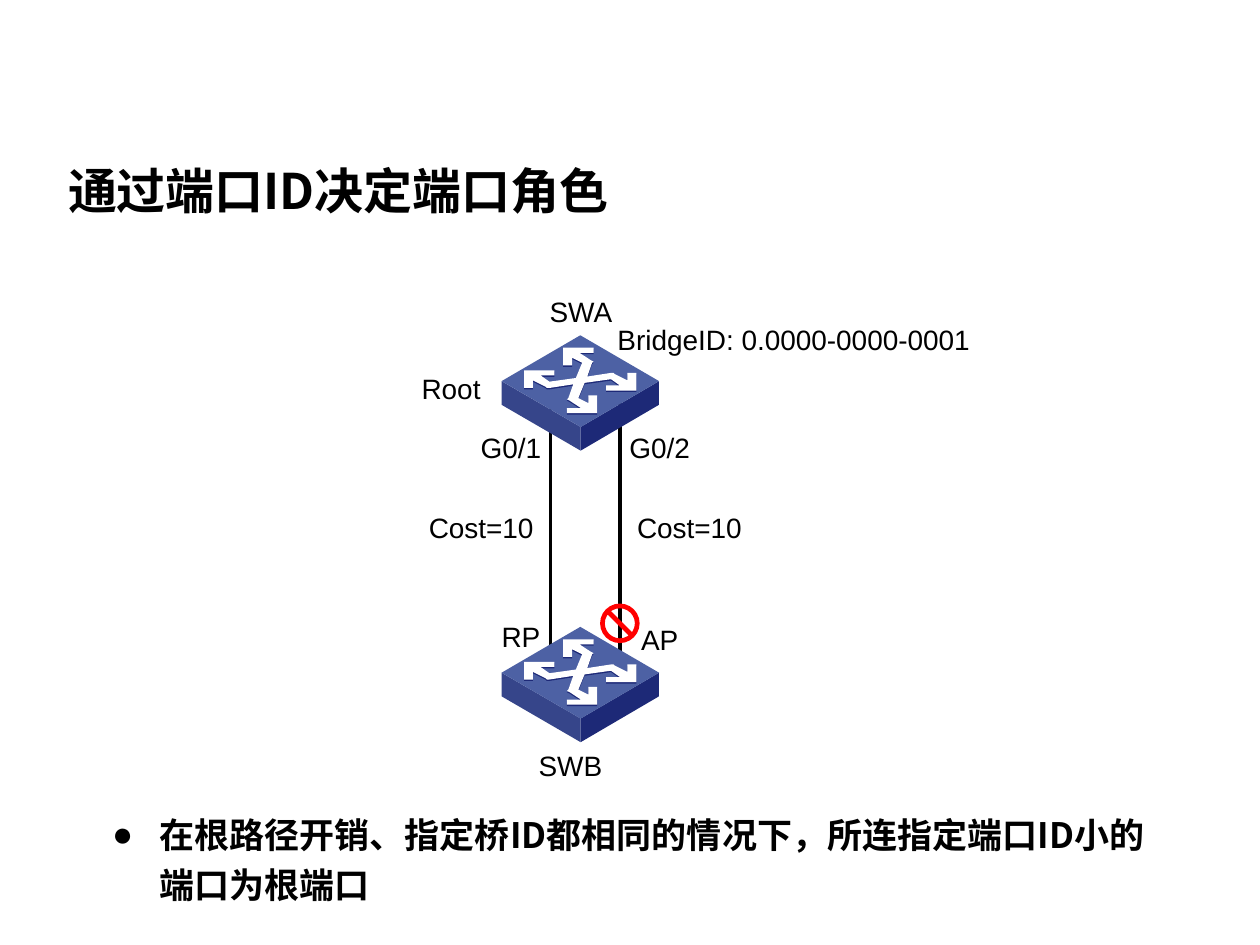
import lxml.etree
import pptx
import pptx.dml.color
import pptx.enum.shapes
import pptx.enum.text
import pptx.oxml.ns
import pptx.util

Pt = pptx.util.Pt
qn = pptx.oxml.ns.qn
Kind = pptx.enum.shapes.MSO_SHAPE
Link = pptx.enum.shapes.MSO_CONNECTOR
Align = pptx.enum.text.PP_ALIGN
Anchor = pptx.enum.text.MSO_ANCHOR
Fit = pptx.enum.text.MSO_AUTO_SIZE

COLORS = {
    "ink": "000000",
    "top": "4D61A4",
    "left": "36458A",
    "right": "1D2977",
    "arrow": "FFFFFF",
    "block": "FF0000",
}
FONTS = {
    "label": {"name": "Arial", "size": Pt(16), "bold": False},
    "title": {"name": "Noto Sans CJK JP", "size": Pt(28), "bold": True},
    "body": {"name": "Noto Sans CJK SC", "size": Pt(20), "bold": True},
}

WIDE, HIGH, DEEP = 45, 26.2, 13.5
HALF = [
    (32, -4.3), (27, -4.3), (27, 0), (19.8, -3.6), (19.1, -4.3),
    (17.6, -4.3), (4, -2.2), (6.8, -10.1), (7.6, -10.8), (6.1, -11.5),
    (-0.4, -15.8), (7.6, -15.8), (7.6, -18.7), (-9.7, -18.7),
    (-9.7, -8.6), (-4.7, -8.6), (-4.7, -13), (1.1, -10.1),
    (-2.5, -1.4), (-17.6, 0.7), (-22.7, -2.9), (-14.8, -2.9),
    (-14.8, -5.8), (-32, -5.8),
]
ARROWS = HALF + [(-x, -y) for x, y in HALF]


def color(name):
    return pptx.dml.color.RGBColor.from_string(COLORS[name])


def apply(item, values):
    for key, value in values.items():
        setattr(item, key, value)


class Slide:
    def __init__(self, deck):
        self.page = deck.slides.add_slide(deck.slide_layouts[1])
        self.shapes = self.page.shapes

    def fill_text(self, shape, text, style, frame, para):
        apply(shape.text_frame, {"word_wrap": True, **frame})
        first = shape.text_frame.paragraphs[0]
        apply(first, {"space_before": Pt(0), **para})
        run = first.add_run()
        run.text = text
        apply(run.font, FONTS[style])
        run.font.color.rgb = color("ink")
        east = lxml.etree.SubElement(run.font._element, qn("a:ea"))
        east.set("typeface", FONTS[style]["name"])
        return first

    def place(self, shape, box):
        for key, value in zip(("left", "top", "width", "height"), box):
            setattr(shape, key, Pt(value))

    def title(self, text, box):
        shape = self.shapes.title
        self.place(shape, box)
        self.fill_text(shape, text, "title",
                       {"vertical_anchor": Anchor.MIDDLE, "auto_size": Fit.NONE},
                       {"alignment": Align.LEFT})

    def body(self, text, box):
        shape = self.page.placeholders[1]
        self.place(shape, box)
        first = self.fill_text(shape, text, "body",
                               {"vertical_anchor": Anchor.TOP, "auto_size": Fit.SHAPE_TO_FIT_TEXT},
                               {"line_spacing": 1.2, "alignment": Align.LEFT})
        props = first._p.get_or_add_pPr()
        props.set("marL", str(Pt(27)))
        props.set("indent", str(Pt(-27)))
        lxml.etree.SubElement(props, qn("a:buChar")).set("char", "●")

    def label(self, text, mid, top, width):
        box = [Pt(v) for v in (mid - width / 2, top, width, 26.6)]
        self.fill_text(self.shapes.add_textbox(*box), text, "label",
                       {"auto_size": Fit.SHAPE_TO_FIT_TEXT}, {"alignment": Align.CENTER})

    def cable(self, x, top, end):
        line = self.shapes.add_connector(Link.STRAIGHT, Pt(x), Pt(top), Pt(x), Pt(end))
        line.line.width = Pt(2.25)
        line.line.color.rgb = color("ink")
        lxml.etree.SubElement(line._element.spPr, qn("a:effectLst"))

    def paint(self, shape, fill):
        shape.shadow.inherit = False
        shape.fill.solid()
        shape.fill.fore_color.rgb = color(fill)
        shape.line.fill.background()

    def switch(self, x, y):
        group = self.shapes.add_group_shape()
        east, west = (WIDE, 0.4), (-WIDE, 0.4)
        south, north = (0.2, HIGH + 0.4), (0, -HIGH + 0.4)

        def drop(point):
            return point[0], point[1] + DEEP

        parts = [
            ("right", [east, drop(east), drop(south), south]),
            ("left", [south, drop(south), drop(west), west]),
            ("top", [east, south, west, north]),
            ("right", [(a, b + 0.8) for a, b in ARROWS]),
            ("arrow", ARROWS),
        ]
        for fill, points in parts:
            spots = [(Pt(x + a), Pt(y + b)) for a, b in points]
            pen = group.shapes.build_freeform(*spots[0], scale=1.0)
            pen.add_line_segments(spots[1:], close=True)
            self.paint(pen.convert_to_shape(), fill)

    def block(self, x, y, size):
        box = [Pt(v) for v in (x - size / 2, y - size / 2, size, size)]
        sign = self.shapes.add_shape(Kind.NO_SYMBOL, *box)
        sign.adjustments[0] = 0.12
        self.paint(sign, "block")


def main():
    deck = pptx.Presentation()
    apply(deck, {"slide_width": Pt(720), "slide_height": Pt(540)})
    slide = Slide(deck)
    slide.title("通过端口ID决定端口角色", (31.7, 82.8, 620, 51))
    slide.body("在根路径开销、指定桥ID都相同的情况下，所连指定端口ID小的端口为根端口",
               (56.9, 456.5, 607, 59.8))
    slide.cable(314.6, 232, 384.5)
    slide.cable(354.2, 226, 378.7)
    slide.switch(331.6, 217.4)
    labels = [
        ("SWA", 332, 164.9, 102),
        ("SWB", 326, 424.1, 102),
        ("Root", 257.8, 208.8, 102),
        ("G0/1", 292, 242.6, 57),
        ("G0/2", 377, 242.6, 57),
        ("AP", 377, 352.1, 57),
        ("Cost=10", 275, 288, 102),
        ("Cost=10", 394, 288, 102),
        ("RP", 297.7, 350.6, 57),
        ("BridgeID: 0.0000-0000-0001", 453.6, 180.7, 244),
    ]
    for item in labels:
        slide.label(*item)
    slide.block(354.2, 356.2, 22.6)
    slide.switch(331.6, 384)
    deck.save("out.pptx")


if __name__ == "__main__":
    main()
